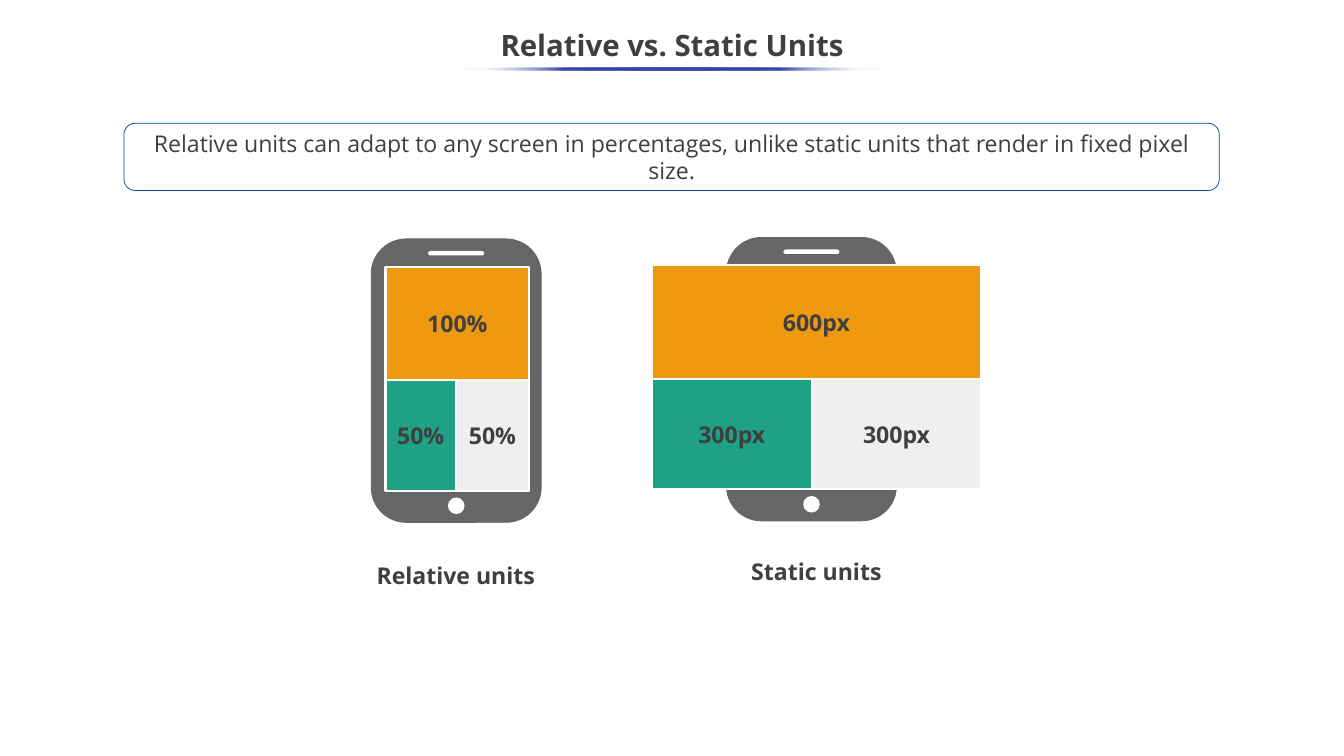
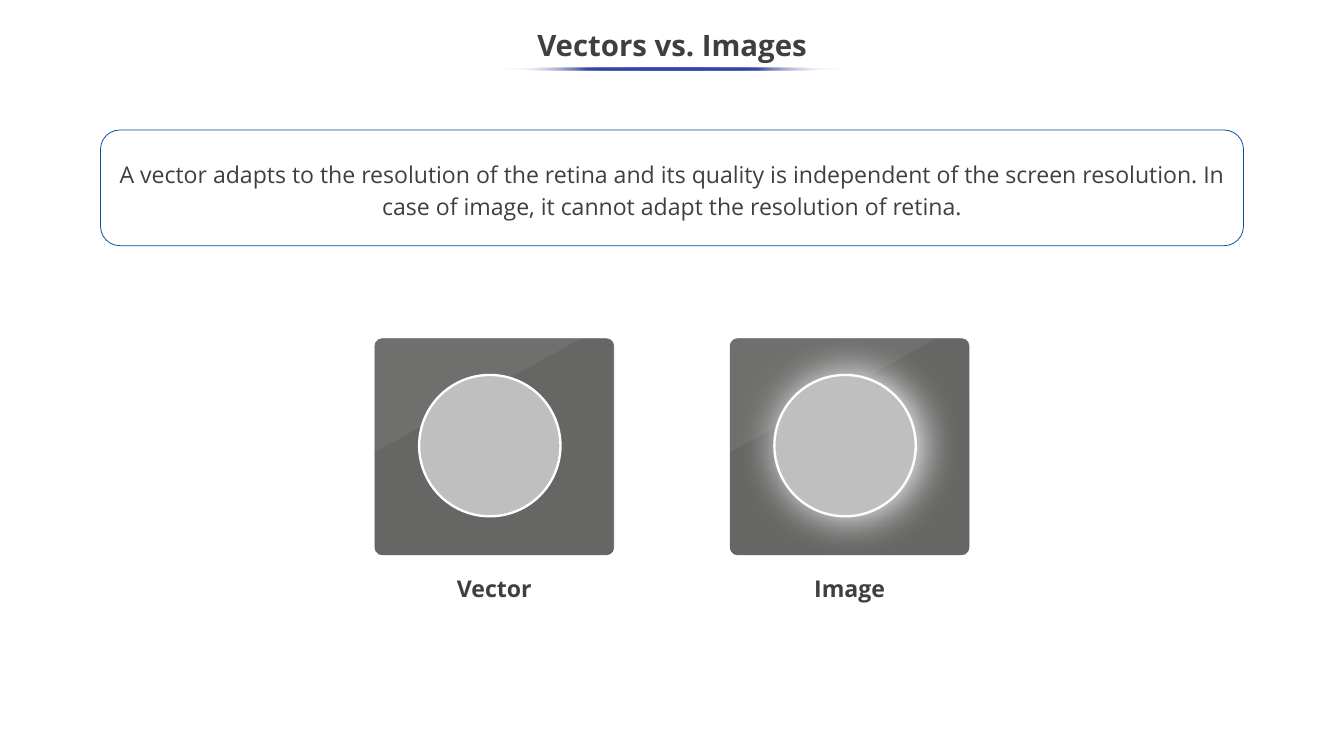
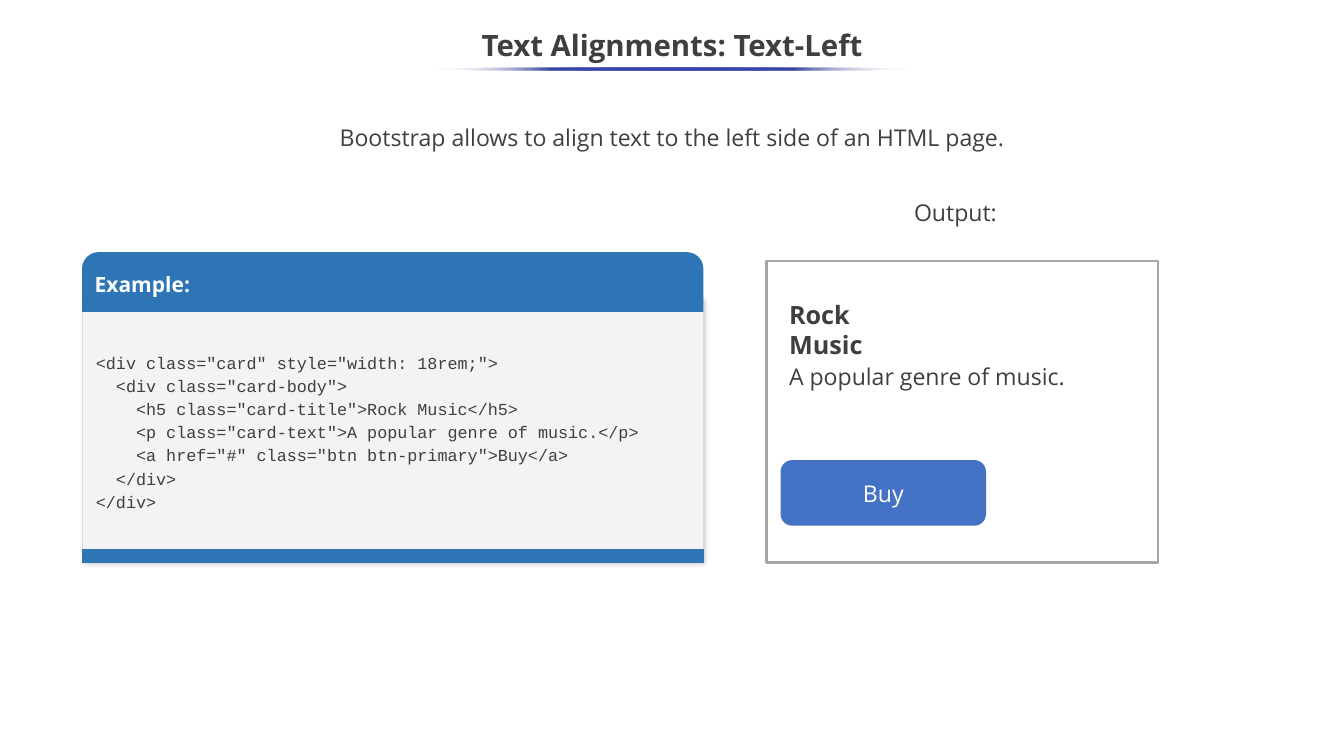
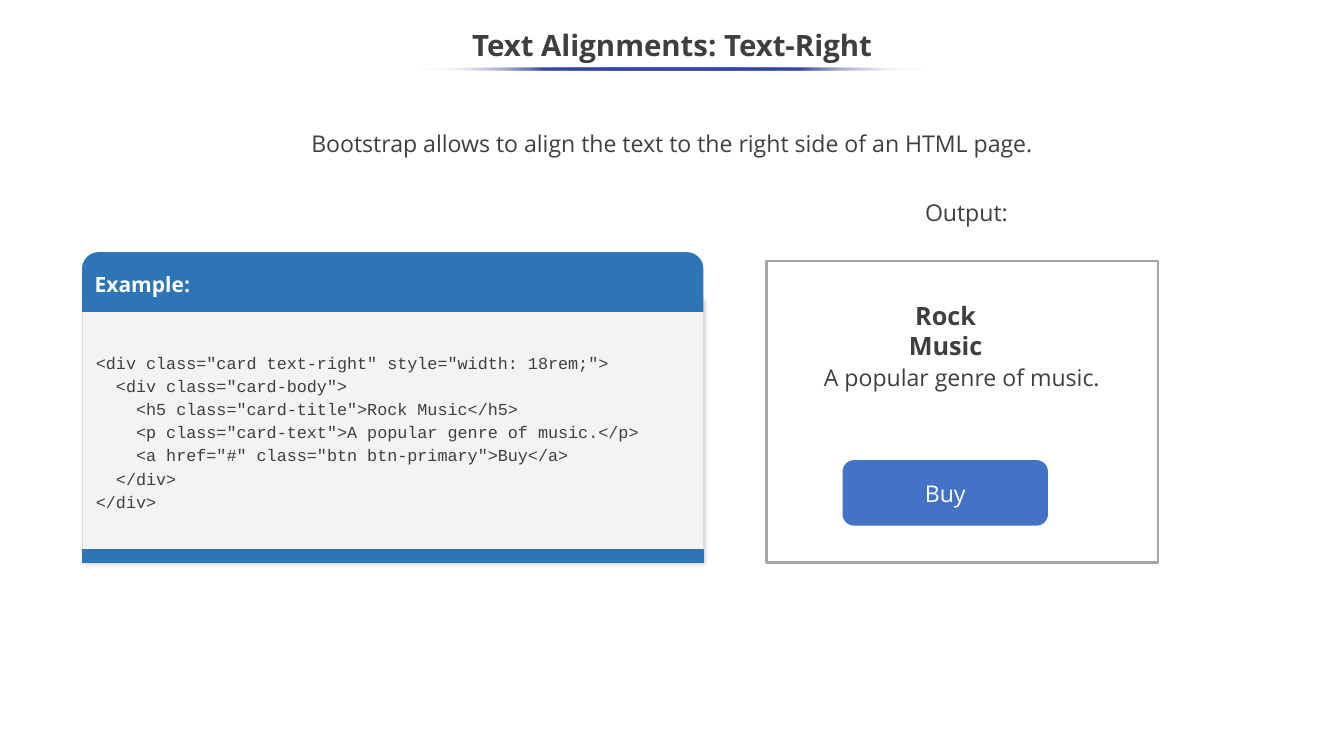
import lxml.etree
import pptx
import pptx.dml.color
import pptx.enum.shapes
import pptx.enum.text
import pptx.oxml.ns
import pptx.util

RGBColor = pptx.dml.color.RGBColor
SHAPE = pptx.enum.shapes.MSO_SHAPE
ALIGN = pptx.enum.text.PP_ALIGN
ANCHOR = pptx.enum.text.MSO_ANCHOR
qn = pptx.oxml.ns.qn

INK = RGBColor(0x3F, 0x3F, 0x3F)
WHITE = RGBColor(0xFF, 0xFF, 0xFF)
BLACK = RGBColor(0x00, 0x00, 0x00)
RULE_BLUE = RGBColor(0x36, 0x45, 0xA9)
OUTLINE_BLUE = RGBColor(0x02, 0x4F, 0x93)
PANEL_BLUE = RGBColor(0x2E, 0x75, 0xB5)
BUTTON_BLUE = RGBColor(0x44, 0x72, 0xC4)
DEVICE_GRAY = RGBColor(0x66, 0x66, 0x65)
SCREEN_GRAY = RGBColor(0xF2, 0xF2, 0xF2)
GLOSS_GRAY = RGBColor(0xDB, 0xDA, 0xDA)
DISC_GRAY = RGBColor(0xBF, 0xBF, 0xBF)
CODE_GRAY = RGBColor(0xF3, 0xF3, 0xF3)
CODE_EDGE = RGBColor(0xDB, 0xDB, 0xDB)
CARD_EDGE = RGBColor(0xA5, 0xA5, 0xA5)
ORANGE = RGBColor(0xEE, 0x99, 0x0F)
GREEN = RGBColor(0x1E, 0xA1, 0x85)
TILE_GRAY = RGBColor(0xEF, 0xEF, 0xEF)

BODY_FONT = "Open Sans"
CODE_FONT = "Courier New"

COLUMNS, ROWS = 177.8, 100
CELL = pptx.util.Inches(0.1)
MIDDLE = COLUMNS / 2

CODE = """<div class="{card}" style="width: 18rem;">
  <div class="card-body">
    <h5 class="card-title">Rock Music</h5>
    <p class="card-text">A popular genre of music.</p>
    <a href="#" class="btn btn-primary">Buy</a>
  </div>
</div>"""


def cells(*counts):
    return [pptx.util.Emu(round(count * CELL)) for count in counts]


def write(shape, text, size=22, bold=False, color=INK, font=BODY_FONT,
          align=ALIGN.CENTER, anchor=ANCHOR.MIDDLE, spacing=None,
          inset=(1, 0.5), indent=0):
    frame = shape.text_frame
    frame.word_wrap = True
    frame.vertical_anchor = anchor
    frame.margin_left = frame.margin_right = cells(inset[0])[0]
    frame.margin_top = frame.margin_bottom = cells(inset[1])[0]
    for number, line in enumerate(text.split("\n")):
        para = frame.add_paragraph() if number else frame.paragraphs[0]
        para.alignment = align
        if spacing:
            para.line_spacing = spacing
        if indent:
            para._p.get_or_add_pPr().set("marL", str(cells(indent)[0]))
        span = para.add_run()
        span.text = line
        span.font.name = font
        span.font.size = pptx.util.Pt(size)
        span.font.bold = bold
        span.font.color.rgb = color


def add_color(parent, color, alpha):
    node = lxml.etree.SubElement(parent, qn("a:srgbClr"), val=str(color))
    lxml.etree.SubElement(node, qn("a:alpha"), val=str(alpha * 1000))


def paint(shape, fill, line=None, weight=0.75):
    shape.shadow.inherit = False
    shape.fill.solid()
    shape.fill.fore_color.rgb = fill
    if line is None:
        shape.line.fill.background()
    else:
        shape.line.color.rgb = line
        shape.line.width = pptx.util.Pt(weight)


def add_box(page, kind, at, fill, line=None, weight=0.75, corners=()):
    box = page.shapes.add_shape(kind, *cells(*at))
    paint(box, fill, line, weight)
    for number, corner in enumerate(corners):
        box.adjustments[number] = corner
    return box


def add_label(page, at, text, **style):
    label = page.shapes.add_textbox(*cells(*at))
    label.text_frame.auto_size = pptx.enum.text.MSO_AUTO_SIZE.SHAPE_TO_FIT_TEXT
    write(label, text, **{"anchor": ANCHOR.TOP, **style})


def add_shadow(shape, color, alpha, blur, distance, angle):
    effects = shape._element.spPr.find(qn("a:effectLst"))
    shadow = lxml.etree.SubElement(
        effects, qn("a:outerShdw"), blurRad=str(pptx.util.Pt(blur)),
        dist=str(pptx.util.Pt(distance)), dir=str(angle * 60000),
        algn="ctr", rotWithShape="0")
    add_color(shadow, color, alpha)


def add_title_rule(page, width):
    rule = add_box(page, SHAPE.OVAL, (MIDDLE - width / 2, 8.9, width, 0.4), WHITE)
    rule.fill.gradient()
    rule.fill.gradient_angle = 180
    stops = rule._element.spPr.find(qn("a:gradFill")).find(qn("a:gsLst"))
    for stop in list(stops):
        stops.remove(stop)
    for position in (0, 25, 50, 75, 100):
        at_end = position in (0, 100)
        stop = lxml.etree.SubElement(stops, qn("a:gs"), pos=str(position * 1000))
        add_color(stop, WHITE if at_end else RULE_BLUE, 0 if at_end else 100)


def add_page(deck, title, rule_width):
    page = deck.slides.add_slide(deck.slide_layouts[5])
    heading = page.shapes.title
    heading.left, heading.top, heading.width, heading.height = cells(0, 2.5, COLUMNS, 7.5)
    write(heading, title, size=28, bold=True, spacing=0.9)
    add_title_rule(page, rule_width)
    return page


def add_statement(page, at, text, spacing=None):
    box = add_box(page, SHAPE.ROUNDED_RECTANGLE, at, WHITE, OUTLINE_BLUE, corners=[0.167])
    write(box, text, inset=(1, 1), spacing=spacing)


def add_caption(page, center, top, text):
    add_label(page, (center - 11, top, 22, 3.7), text, bold=True, inset=(0, 0))


def add_tile(page, at, fill, text):
    write(add_box(page, SHAPE.RECTANGLE, at, fill, WHITE, 2), text, bold=True)


def add_phone(page, left, top, tile_left, halves, whole_text, half_text):
    center = left + 11.25
    add_box(page, SHAPE.ROUNDED_RECTANGLE, (left, top, 22.5, 37.5),
            DEVICE_GRAY, DEVICE_GRAY, corners=[0.206])
    add_box(page, SHAPE.ROUNDED_RECTANGLE, (center - 3.7, top + 1.6, 7.4, 0.6),
            WHITE, corners=[0.5])
    add_box(page, SHAPE.OVAL, (center - 1.1, top + 34.2, 2.2, 2.2), WHITE)
    add_box(page, SHAPE.RECTANGLE, (left + 1.9, top + 3.7, 19, 29.6), SCREEN_GRAY)
    add_tile(page, (tile_left, top + 3.7, sum(halves), 15), ORANGE, whole_text)
    row = top + 18.7
    add_tile(page, (tile_left, row, halves[0], 14.6), GREEN, half_text)
    add_tile(page, (tile_left + halves[0], row, halves[1], 14.6), TILE_GRAY, half_text)


def add_screen(page, left, top, caption, glowing):
    add_box(page, SHAPE.ROUNDED_RECTANGLE, (left, top, 31.6, 28.6),
            DEVICE_GRAY, DEVICE_GRAY, corners=[0.035])
    corner = [(0, 1), (0.3, 0.3), (0.9, 0), (27.2, 0)]
    outline = page.shapes.build_freeform(*cells(left, top + 15))
    outline.add_line_segments([cells(left + x, top + y) for x, y in corner])
    gloss = outline.convert_to_shape()
    paint(gloss, GLOSS_GRAY)
    tint = gloss._element.spPr.find(qn("a:solidFill"))[0]
    lxml.etree.SubElement(tint, qn("a:alpha"), val="8000")
    disc = add_box(page, SHAPE.OVAL, (left + 5.85, top + 4.8, 18.7, 18.7),
                   DISC_GRAY, WHITE, 2.25)
    if glowing:
        add_shadow(disc, WHITE, 100, 40, 4, 0)
    add_caption(page, left + 15.8, top + 31.2, caption)


def add_code_panel(page, code):
    left, width = 10.9, 82.1
    body = add_box(page, SHAPE.RECTANGLE, (left, 39.5, width, 34.9), CODE_GRAY, CODE_EDGE)
    add_shadow(body, BLACK, 20, 4.5, 1.5, 47)
    write(body, code, size=16, font=CODE_FONT, align=ALIGN.LEFT, spacing=1.15,
          inset=(1, 1), indent=0.8)
    header = add_box(page, SHAPE.ROUND_2_SAME_RECTANGLE, (left, 33.4, width, 7.8),
                     PANEL_BLUE, PANEL_BLUE, corners=[0.275, 0])
    write(header, "Example:", size=20, bold=True, color=WHITE, align=ALIGN.LEFT)
    add_box(page, SHAPE.RECTANGLE, (left, 72.7, width, 1.7), PANEL_BLUE, PANEL_BLUE)


def add_output_card(page, output_width, name_at, genre_at, button_left, align):
    add_label(page, (117.2, 25.8, output_width, 4.7), "Output:")
    add_box(page, SHAPE.RECTANGLE, (101.4, 34.5, 51.8, 39.9), WHITE, CARD_EDGE, 2)
    add_label(page, (*name_at, 20, 9.1), "Rock Music", size=24, bold=True, align=align)
    add_label(page, (*genre_at, 43.3, 4.7), "A popular genre of music.", align=align)
    button = add_box(page, SHAPE.ROUNDED_RECTANGLE, (button_left, 61, 26.9, 8.4),
                     BUTTON_BLUE, BUTTON_BLUE, 2, corners=[0.167])
    write(button, "Buy", color=WHITE)


def add_alignment_page(deck, title, rule_width, intro, intro_top, card_class, **card):
    page = add_page(deck, title, rule_width)
    add_label(page, (MIDDLE - 56, intro_top, 112, 4.7), intro)
    add_code_panel(page, CODE.format(card=card_class))
    add_output_card(page, **card)


def add_units_page(deck):
    page = add_page(deck, "Relative vs. Static Units", 56.6)
    add_statement(page, (16.4, 16.3, 144.9, 8.9),
                  "Relative units can adapt to any screen in percentages, "
                  "unlike static units that render in fixed pixel size.")
    add_phone(page, 49.1, 31.6, 51, (9.3, 9.7), "100%", "50%")
    add_caption(page, 60.3, 74.2, "Relative units")
    add_phone(page, 96.1, 31.4, 86.2, (21.2, 22.4), "600px", "300px")
    add_caption(page, 108, 73.7, "Static units")


def add_vectors_page(deck):
    page = add_page(deck, "Vectors vs. Images", 44.7)
    add_statement(page, (13.3, 17.2, 151.2, 15.3),
                  "A vector adapts to the resolution of the retina and its quality is "
                  "independent of the screen resolution. In case of image, it cannot "
                  "adapt the resolution of retina.", spacing=1.15)
    add_screen(page, 49.6, 44.8, "Vector", glowing=False)
    add_screen(page, 96.6, 44.8, "Image", glowing=True)


def main():
    deck = pptx.Presentation()
    deck.slide_width, deck.slide_height = cells(COLUMNS, ROWS)
    add_units_page(deck)
    add_vectors_page(deck)
    add_alignment_page(
        deck, "Text Alignments: Text-Left", 63.9,
        "Bootstrap allows to align text to the left side of an HTML page.", 15.8,
        "card", output_width=18.4, name_at=(103.4, 39.1), genre_at=(103.4, 47.5),
        button_left=103.4, align=ALIGN.LEFT)
    add_alignment_page(
        deck, "Text Alignments: Text-Right", 67,
        "Bootstrap allows to align the text to the right side of an HTML page.", 16.6,
        "card text-right", output_width=21.3, name_at=(115.1, 39.2),
        genre_at=(105.6, 47.6), button_left=111.6, align=ALIGN.CENTER)
    deck.save("out.pptx")


if __name__ == "__main__":
    main()
